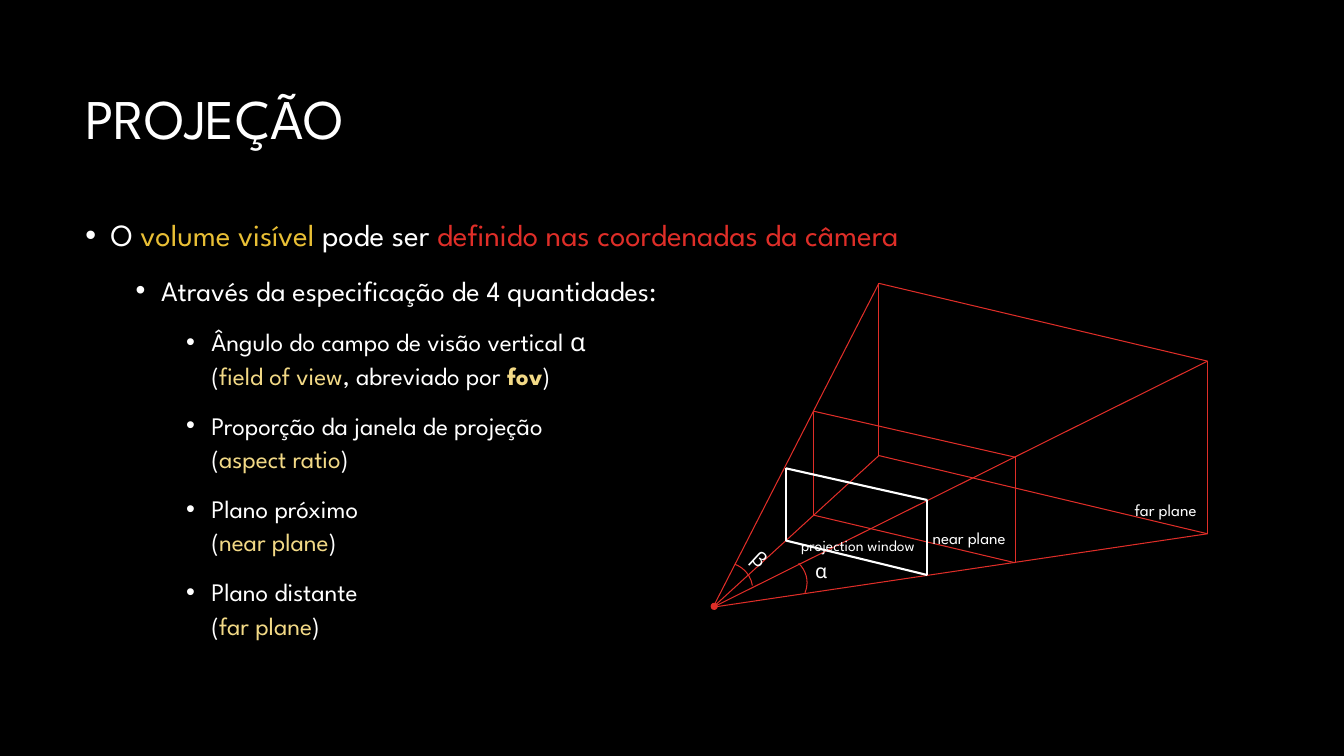
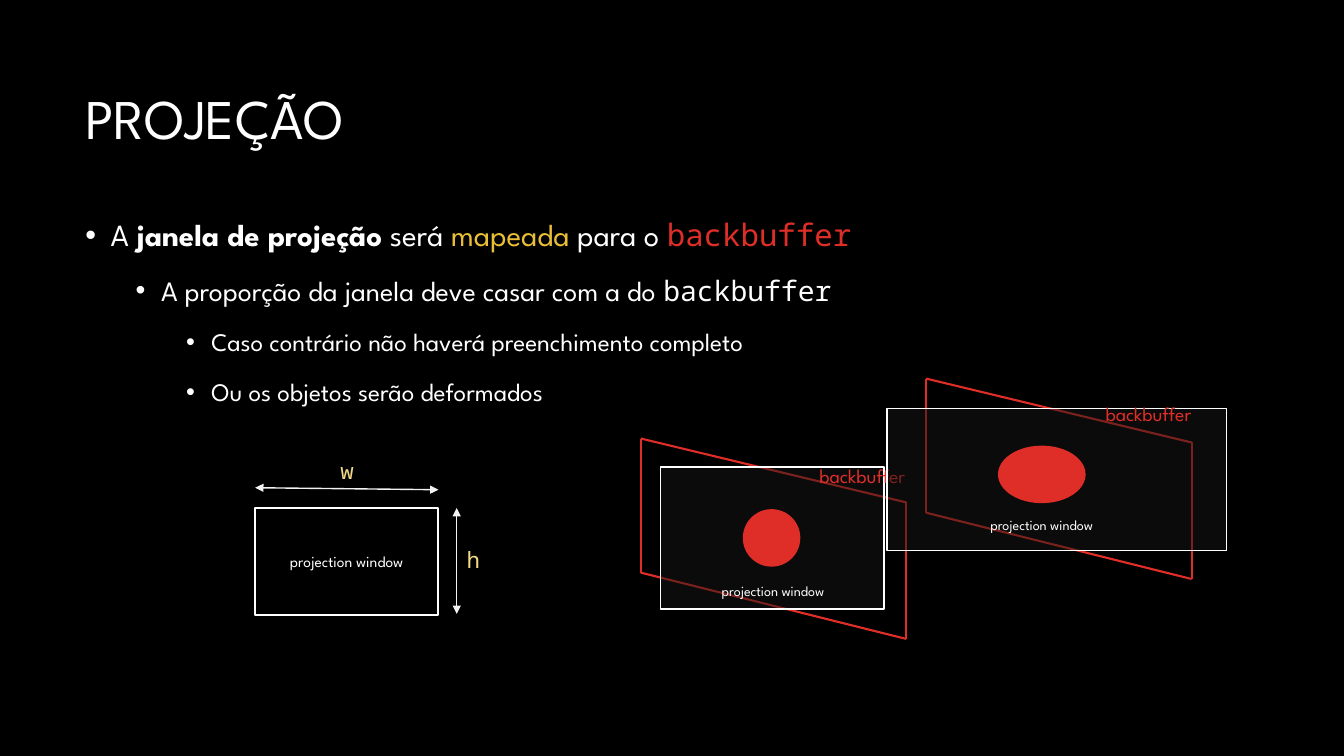
"""Build two slides on camera projection: the view volume and the backbuffer mapping."""
from dataclasses import dataclass
from typing import NamedTuple

from pptx import Presentation
from pptx.dml.color import RGBColor
from pptx.enum.shapes import MSO_CONNECTOR, MSO_SHAPE
from pptx.enum.text import MSO_ANCHOR, PP_ALIGN
from pptx.oxml.ns import qn
from pptx.shapes.autoshape import Shape
from pptx.shapes.connector import Connector
from pptx.slide import Slide
from pptx.text.text import TextFrame, _Paragraph
from pptx.util import Cm, Pt
from lxml import etree

STRAIGHT = MSO_CONNECTOR.STRAIGHT
ARC, ELLIPSE, RECTANGLE = MSO_SHAPE.ARC, MSO_SHAPE.OVAL, MSO_SHAPE.RECTANGLE
TOP, MIDDLE = MSO_ANCHOR.TOP, MSO_ANCHOR.MIDDLE
LEFT, CENTER = PP_ALIGN.LEFT, PP_ALIGN.CENTER

BLACK = RGBColor(0x00, 0x00, 0x00)
WHITE = RGBColor(0xFF, 0xFF, 0xFF)
PALE = RGBColor(0xF2, 0xF2, 0xF2)
CHARCOAL = RGBColor(0x16, 0x16, 0x16)
RED = RGBColor(0xDF, 0x2E, 0x28)
GOLD = RGBColor(0xE9, 0xBF, 0x35)
CREAM = RGBColor(0xF2, 0xD9, 0x86)

SANS = "League Spartan"
MONO = "Noto Sans Mono"
LEVEL_SIZES = (22, 20, 18)
THIN, MEDIUM, THICK = 0.75, 1, 1.5


class Point(NamedTuple):
    x: float
    y: float


class Area(NamedTuple):
    left: float
    top: float
    width: float
    height: float


@dataclass(frozen=True)
class Span:
    text: str
    color: RGBColor = WHITE
    font: str = SANS
    bold: bool = False


@dataclass(frozen=True)
class Bullet:
    level: int
    spans: tuple[Span, ...]


@dataclass(frozen=True)
class Label:
    text: str
    area: Area
    size: float
    color: RGBColor = WHITE
    font: str = SANS
    align: PP_ALIGN = CENTER
    rotation: float = 0


@dataclass(frozen=True)
class Mapping:
    shift: Point
    window: Area
    ball: Area
    buffer_label: Area
    window_label: Area


Quad = tuple[Point, Point, Point, Point]

TITLE_AREA = Area(1.9, 1.27, 30.05, 3.58)
BODY_AREA = Area(1.9, 5.23, 30.05, 11.91)

EYE = Point(17.97, 15.3)
FAR_PLANE = (Point(22.15, 7.14), Point(30.43, 9.1), Point(30.43, 13.45), Point(22.15, 11.48))
NEAR_PLANE = (Point(20.5, 10.36), Point(25.58, 11.52), Point(25.58, 14.18), Point(20.5, 12.98))
WINDOW = (Point(19.8, 11.8), Point(23.37, 12.6), Point(23.37, 14.49), Point(19.8, 13.62))
ANGLES = (
    (Area(18.92, 14, 1.42, 1.37), 189.35, 12.75),
    (Area(17.55, 14.17, 1.42, 1.37), 175.4, 211.09),
)
VOLUME_LABELS = (
    Label("far plane", Area(27.56, 12.47, 3.63, 0.76), 12),
    Label("near plane", Area(22.61, 13.18, 3.63, 0.76), 12),
    Label("projection window", Area(19.1, 13.39, 5.05, 0.74), 11),
    Label("α", Area(20.29, 13.97, 0.97, 0.86), 14, align=LEFT),
    Label("β", Area(18.72, 13.72, 0.97, 0.86), 14, align=LEFT, rotation=42.7),
)
VOLUME_BULLETS = (
    Bullet(0, (Span("O "), Span("volume visível ", GOLD), Span("pode ser "),
               Span("definido nas coordenadas da câmera", RED))),
    Bullet(1, (Span("Através da especificação de 4 quantidades:"),)),
    Bullet(2, (Span("Ângulo do campo de visão vertical α\n("), Span("field of view", CREAM),
               Span(", abreviado por "), Span("fov", CREAM, bold=True), Span(")"))),
    *(Bullet(2, (Span(f"{name}\n("), Span(term, CREAM), Span(")")))
      for name, term in (("Proporção da janela de projeção", "aspect ratio"),
                         ("Plano próximo", "near plane"),
                         ("Plano distante", "far plane"))),
)

BACKBUFFER = (Point(16.15, 11.05), Point(22.84, 12.66), Point(22.84, 16.1), Point(16.15, 14.43))
MAPPINGS = (
    Mapping(Point(0, 0), Area(16.64, 11.77, 5.64, 3.58), Area(18.72, 12.83, 1.45, 1.45),
            Area(19.08, 11.56, 5.31, 0.86), Area(17.5, 14.55, 3.96, 0.69)),
    Mapping(Point(7.19, -1.51), Area(22.35, 10.29, 8.56, 3.58), Area(25.15, 11.23, 2.21, 1.45),
            Area(27, 10.01, 3.89, 0.86), Area(24.23, 12.88, 4.04, 0.69)),
)
FLAT_WINDOW = Area(6.43, 12.8, 4.62, 2.69)
SIZE_LABELS = (
    Label("h", Area(11.51, 13.64, 0.81, 0.94), 16, CREAM, MONO, LEFT),
    Label("w", Area(8.33, 11.4, 0.81, 0.94), 16, CREAM, MONO, LEFT),
)
SIZE_ARROWS = (
    (Point(6.43, 12.29), Point(11.05, 12.34)),
    (Point(11.51, 15.47), Point(11.51, 12.8)),
)
MAPPING_BULLETS = (
    Bullet(0, (Span("A "), Span("janela de projeção", bold=True), Span(" será "),
               Span("mapeada ", GOLD), Span("para o "), Span("backbuffer", RED, MONO))),
    Bullet(1, (Span("A proporção da janela deve casar com a do "),
               Span("backbuffer", font=MONO))),
    Bullet(2, (Span("Caso contrário não haverá preenchimento completo"),)),
    Bullet(2, (Span("Ou os objetos serão deformados"),)),
)


def add_span(para: _Paragraph, span: Span, size: float) -> None:
    for index, piece in enumerate(span.text.split("\n")):
        if index:
            para.add_line_break()
        run = para.add_run()
        run.text = piece
        run.font.name = span.font
        run.font.size = Pt(size)
        run.font.bold = span.bold
        run.font.color.rgb = span.color


def add_frame(page: Slide, area: Area, anchor: MSO_ANCHOR = TOP, rotation: float = 0) -> TextFrame:
    box = page.shapes.add_textbox(*map(Cm, area))
    box.rotation = rotation
    frame = box.text_frame
    frame.word_wrap = True
    frame.vertical_anchor = anchor
    return frame


def add_label(page: Slide, label: Label) -> None:
    para = add_frame(page, label.area, rotation=label.rotation).paragraphs[0]
    para.alignment = label.align
    add_span(para, Span(label.text, label.color, label.font), label.size)


def add_bullets(page: Slide, bullets: tuple[Bullet, ...]) -> None:
    frame = add_frame(page, BODY_AREA)
    for index, bullet in enumerate(bullets):
        para = frame.add_paragraph() if index else frame.paragraphs[0]
        para.level = bullet.level
        properties = para._p.get_or_add_pPr()
        properties.set("marL", str(Cm(0.64 + 1.27 * bullet.level)))
        properties.set("indent", str(Cm(-0.64)))
        etree.SubElement(properties, qn("a:buFont"), typeface="Arial")
        etree.SubElement(properties, qn("a:buChar"), char="•")
        para.line_spacing = 1.1
        para.space_before = Pt(12 if index else 0)
        for span in bullet.spans:
            add_span(para, span, LEVEL_SIZES[bullet.level])


def add_line(page: Slide, start: Point, end: Point, color: RGBColor, width: float) -> Connector:
    line = page.shapes.add_connector(STRAIGHT, *map(Cm, (*start, *end)))
    line.line.color.rgb = color
    line.line.width = Pt(width)
    etree.SubElement(line.element.spPr, qn("a:effectLst"))
    return line


def add_arrow(page: Slide, start: Point, end: Point) -> None:
    outline = add_line(page, start, end, PALE, MEDIUM).element.spPr.find(qn("a:ln"))
    for tag in ("a:headEnd", "a:tailEnd"):
        etree.SubElement(outline, qn(tag), type="triangle")


def add_quad(page: Slide, corners: Quad, color: RGBColor, width: float) -> None:
    for start, end in zip(corners, corners[1:] + corners[:1]):
        add_line(page, start, end, color, width)


def add_figure(page: Slide, kind: MSO_SHAPE, area: Area, fill: RGBColor | None = None,
               line: RGBColor | None = None, width: float = THIN) -> Shape:
    figure = page.shapes.add_shape(kind, *map(Cm, area))
    figure.shadow.inherit = False
    if fill is None:
        figure.fill.background()
    else:
        figure.fill.solid()
        figure.fill.fore_color.rgb = fill
    if line is None:
        figure.line.fill.background()
    else:
        figure.line.color.rgb = line
        figure.line.width = Pt(width)
    return figure


def add_mapping(page: Slide, mapping: Mapping) -> None:
    corners = tuple(Point(corner.x + mapping.shift.x, corner.y + mapping.shift.y)
                    for corner in BACKBUFFER)
    add_quad(page, corners, RED, THICK)
    window = add_figure(page, RECTANGLE, mapping.window, CHARCOAL, WHITE, MEDIUM)
    fill_color = window.element.spPr.find(qn("a:solidFill")).find(qn("a:srgbClr"))
    etree.SubElement(fill_color, qn("a:alpha"), val="50000")
    add_figure(page, ELLIPSE, mapping.ball, RED)
    add_label(page, Label("backbuffer", mapping.buffer_label, 14, RED))
    add_label(page, Label("projection window", mapping.window_label, 10))


def add_page(deck: Presentation, bullets: tuple[Bullet, ...]) -> Slide:
    page = deck.slides.add_slide(deck.slide_layouts[6])
    page.background.fill.solid()
    page.background.fill.fore_color.rgb = BLACK
    title = add_frame(page, TITLE_AREA, MIDDLE).paragraphs[0]
    title.line_spacing = 0.9
    add_span(title, Span("PROJEÇÃO"), 40)
    add_bullets(page, bullets)
    return page


def build_volume(deck: Presentation) -> None:
    page = add_page(deck, VOLUME_BULLETS)
    for plane in (FAR_PLANE, NEAR_PLANE):
        add_quad(page, plane, RED, THIN)
    for corner in FAR_PLANE:
        add_line(page, EYE, corner, RED, THIN)
    add_figure(page, ELLIPSE, Area(17.91, 15.19, 0.18, 0.18), RED)
    for area, start, end in ANGLES:
        arc = add_figure(page, ARC, area, line=RED)
        arc.adjustments[0] = start
        arc.adjustments[1] = end
    add_quad(page, WINDOW, WHITE, THICK)
    for label in VOLUME_LABELS:
        add_label(page, label)


def build_mapping(deck: Presentation) -> None:
    page = add_page(deck, MAPPING_BULLETS)
    for mapping in MAPPINGS:
        add_mapping(page, mapping)
    window = add_figure(page, RECTANGLE, FLAT_WINDOW, line=WHITE, width=THICK)
    window.text_frame.vertical_anchor = MIDDLE
    para = window.text_frame.paragraphs[0]
    para.alignment = CENTER
    add_span(para, Span("projection window"), 11)
    for label in SIZE_LABELS:
        add_label(page, label)
    for start, end in SIZE_ARROWS:
        add_arrow(page, start, end)


def main() -> None:
    deck = Presentation()
    deck.slide_width, deck.slide_height = Cm(33.87), Cm(19.05)
    build_volume(deck)
    build_mapping(deck)
    deck.save("out.pptx")


if __name__ == "__main__":
    main()
